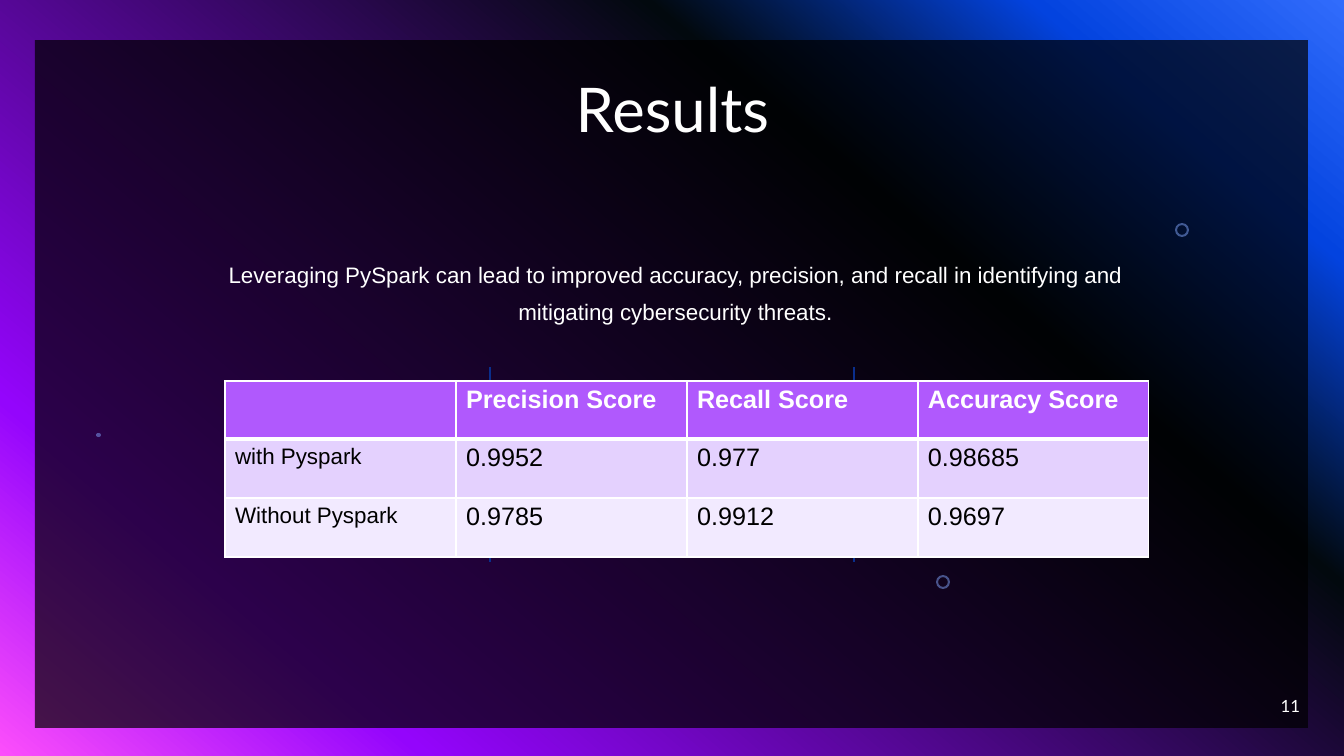
from copy import deepcopy

from pptx import Presentation
from pptx import util as u
from pptx.dml.color import RGBColor
from pptx.enum import shapes, text
from pptx.oxml import ns
from pptx.oxml.xmlchemy import OxmlElement

PX = 12192000 / 1344
WIDTH, HEIGHT = 1344, 756
WHITE = "FFFFFF"
BACKGROUND = [(0, "316CFC"), (14, "0343DF"), (31, "02090E"), (81, "9405FC"), (100, "FC4EFB")]
SCORES = [
    ["", "Precision Score", "Recall Score", "Accuracy Score"],
    ["with Pyspark", "0.9952", "0.977", "0.98685"],
    ["Without Pyspark", "0.9785", "0.9912", "0.9697"],
]
ROW_FILLS = ["B059FD", "E4D1FE", "F2EAFF"]
ROW_HEIGHTS = [58, 59, 59]


def px(*lengths):
    return [u.Emu(round(length * PX)) for length in lengths]


def color(hex_string):
    return RGBColor.from_string(hex_string)


def write(frame, words, size, font="Arial", fill=WHITE, bold=False,
          align=text.PP_ALIGN.LEFT, spacing=None):
    paragraph = frame.paragraphs[0]
    paragraph.alignment = align
    paragraph.line_spacing = spacing
    run = paragraph.add_run()
    run.text = words
    run.font.size, run.font.name, run.font.bold = u.Pt(size), font, bold
    run.font.color.rgb = color(fill)


def add_filled(slide, kind, box, fill, opacity):
    shape = slide.shapes.add_shape(kind, *px(*box))
    shape.shadow.inherit = False
    shape.line.fill.background()
    shape.fill.solid()
    shape.fill.fore_color.rgb = color(fill)
    alpha = OxmlElement("a:alpha")
    alpha.set("val", str(opacity * 1000))
    next(shape.element.spPr.iter(ns.qn("a:srgbClr"))).append(alpha)
    return shape


def paint_background(slide):
    fill = slide.background.fill
    fill.gradient()
    fill.gradient_angle = 230
    stop_list = next(slide.element.iter(ns.qn("a:gsLst")))
    for _ in range(len(BACKGROUND) - len(stop_list)):
        stop_list.append(deepcopy(stop_list[0]))
    for stop, (percent, hex_string) in zip(fill.gradient_stops, BACKGROUND):
        stop.position = percent / 100
        stop.color.rgb = color(hex_string)


def add_decoration(slide, box):
    """Dark panel with two upright lines, a dot and two rings."""
    left, top, _, _ = box
    kinds = shapes.MSO_SHAPE
    add_filled(slide, kinds.RECTANGLE, box, "000000", 70)
    for x in (455, 819):
        line = slide.shapes.add_connector(
            shapes.MSO_CONNECTOR.STRAIGHT,
            *px(left + x, top + 327, left + x, top + 522))
        line.line.color.rgb = color("0A2E8C")
        line.line.width = u.Pt(2)
        line.element.spPr.append(OxmlElement("a:effectLst"))
    add_filled(slide, kinds.OVAL, (left + 61, top + 393, 5, 4), "83A7FD", 49)
    for x, y in ((1140, 183), (901, 535)):
        ring = add_filled(slide, kinds.DONUT, (left + x, top + y, 14, 14), "83A7FD", 49)
        ring.adjustments[0] = 0.15


def add_title(slide, box):
    title = slide.shapes.title
    title.left, title.top, title.width, title.height = px(*box)
    title.text_frame.auto_size = text.MSO_AUTO_SIZE.NONE
    title.text_frame.vertical_anchor = text.MSO_ANCHOR.MIDDLE
    write(title.text_frame, "Results", 44, font="Lato",
          align=text.PP_ALIGN.CENTER, spacing=0.9)
    slide.shapes.element.append(title.element)  # in front of the panel


def add_text(slide, box, words, size, anchor=text.MSO_ANCHOR.TOP, **style):
    frame = slide.shapes.add_textbox(*px(*box)).text_frame
    frame.word_wrap = True
    frame.vertical_anchor = anchor
    write(frame, words, size, **style)


def add_border(cell, side, points):
    line = OxmlElement(f"a:{side}")
    line.set("w", str(u.Pt(points)))
    fill = OxmlElement("a:solidFill")
    white = OxmlElement("a:srgbClr")
    white.set("val", WHITE)
    fill.append(white)
    line.append(fill)
    cell._tc.get_or_add_tcPr().append(line)


def add_score_table(slide, box):
    table = slide.shapes.add_table(len(SCORES), len(SCORES[0]), *px(*box)).table
    for column in table.columns:
        column.width = px(box[2] / len(SCORES[0]))[0]
    for r, words_in_row in enumerate(SCORES):
        header = r == 0
        table.rows[r].height = px(ROW_HEIGHTS[r])[0]
        for c, words in enumerate(words_in_row):
            cell = table.cell(r, c)
            add_border(cell, "lnL", 1)
            add_border(cell, "lnR", 1)
            add_border(cell, "lnT", 3 if r == 1 else 1)
            add_border(cell, "lnB", 3 if header else 1)
            cell.fill.solid()
            cell.fill.fore_color.rgb = color(ROW_FILLS[r])
            if words:
                write(cell.text_frame, words, 16 if c == 0 else 18,
                      fill=WHITE if header else "000000", bold=header)


def add_results_slide(presentation):
    slide = presentation.slides.add_slide(presentation.slide_layouts[5])
    paint_background(slide)
    add_decoration(slide, (35, 40, 1273, 688))
    add_title(slide, (93, 40, 1159, 146))
    add_text(slide, (1008, 686, 302, 40), "11", 12, font="Lato",
             anchor=text.MSO_ANCHOR.MIDDLE, align=text.PP_ALIGN.RIGHT)
    add_text(slide, (188, 245, 975, 103),
             "Leveraging PySpark can lead to improved accuracy, precision, and recall "
             "in identifying and mitigating cybersecurity threats.",
             16, align=text.PP_ALIGN.CENTER, spacing=1.4)
    add_score_table(slide, (225, 381, 924, sum(ROW_HEIGHTS)))


def main():
    presentation = Presentation()
    presentation.slide_width, presentation.slide_height = px(WIDTH, HEIGHT)
    add_results_slide(presentation)
    presentation.save("out.pptx")


if __name__ == "__main__":
    main()
